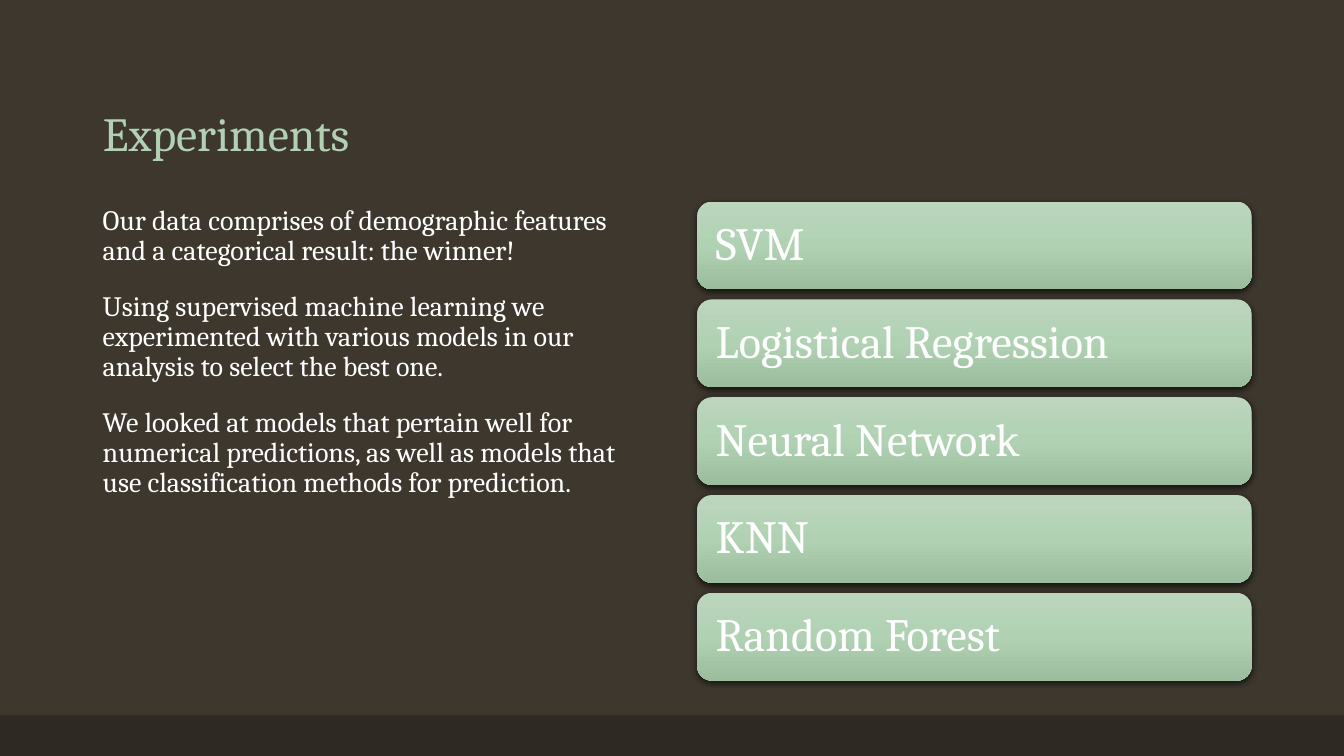
from lxml import etree
from pptx import Presentation
from pptx.dml.color import RGBColor
from pptx.enum.shapes import MSO_SHAPE
from pptx.enum.text import MSO_ANCHOR, MSO_AUTO_SIZE, PP_ALIGN
from pptx.oxml.ns import qn
from pptx.util import Cm, Pt

RECT, ROUND = MSO_SHAPE.RECTANGLE, MSO_SHAPE.ROUNDED_RECTANGLE
LEFT, NO_FIT = PP_ALIGN.LEFT, MSO_AUTO_SIZE.NONE
TOP, MIDDLE, BOTTOM = MSO_ANCHOR.TOP, MSO_ANCHOR.MIDDLE, MSO_ANCHOR.BOTTOM

WIDE, HIGH = 33.87, 19.05
FONT = "Cambria"
COLORS = {
    "back": "3D372E", "band": "2E2923", "title": "B2D0B4",
    "text": "FFFFFF", "shade": "000000",
    "light": "BCD6BE", "mid": "B0D2B3", "dark": "9BBC9D",
}
STOPS = {"light": 0, "mid": 50, "dark": 100}
SHADOW = {"blurRad": Pt(4.5), "dist": Pt(1.5), "dir": 90 * 60000,
          "algn": "ctr", "rotWithShape": 0}
NOTES = [
    "Our data comprises of demographic features and a categorical result: "
    "the winner!",
    "Using supervised machine learning we experimented with various models "
    "in our analysis to select the best one.",
    "We looked at models that pertain well for numerical predictions, as well "
    "as models that use classification methods for prediction.",
]
MODELS = ["SVM", "Logistical Regression", "Neural Network", "KNN",
          "Random Forest"]


def color(name):
    return RGBColor.from_string(COLORS[name])


def apply(item, values):
    for key, value in values.items():
        setattr(item, key, value)


def add_node(parent, tag, **values):
    attrs = {key: str(value) for key, value in values.items()}
    return etree.SubElement(parent, qn(tag), attrs)


def write(frame, lines, size, tint, anchor, gap=0):
    apply(frame, {"word_wrap": True, "auto_size": NO_FIT,
                  "vertical_anchor": anchor})
    for i, line in enumerate(lines):
        par = frame.add_paragraph() if i else frame.paragraphs[0]
        apply(par, {"text": line, "alignment": LEFT, "line_spacing": 0.9,
                    "space_before": Pt(gap if i else 0)})
        apply(par.font, {"name": FONT, "size": Pt(size)})
        par.font.color.rgb = color(tint)


def add_band(slide, x, y, w, h):
    band = slide.shapes.add_shape(RECT, Cm(x), Cm(y), Cm(w), Cm(h))
    band.shadow.inherit = False
    band.fill.solid()
    band.fill.fore_color.rgb = color("band")
    band.line.fill.background()


def add_title(slide, x, y, w, h):
    title = slide.shapes.title
    apply(title, {"left": Cm(x), "top": Cm(y), "width": Cm(w),
                  "height": Cm(h)})
    write(title.text_frame, ["Experiments"], 34, "title", BOTTOM)


def add_notes(slide, x, y, w, h):
    box = slide.shapes.add_textbox(Cm(x), Cm(y), Cm(w), Cm(h))
    write(box.text_frame, NOTES, 20, "text", TOP, 18)


def style_card(card):
    # Three-stop gradient, running downwards
    card.fill.gradient()
    card.fill.gradient_angle = 270
    props = card._element.spPr
    stops = props.find(".//" + qn("a:gsLst"))
    stops.clear()
    for name, place in STOPS.items():
        stop = add_node(stops, "a:gs", pos=place * 1000)
        add_node(stop, "a:srgbClr", val=COLORS[name])
    card.line.fill.background()
    # Soft shadow below
    card.shadow.inherit = False
    shade = add_node(props.find(qn("a:effectLst")), "a:outerShdw", **SHADOW)
    tint = add_node(shade, "a:srgbClr", val=COLORS["shade"])
    add_node(tint, "a:alpha", val=63000)


def add_cards(slide, x, y, w, h):
    tall = 2.21
    step = (h - tall) / (len(MODELS) - 1)
    for i, name in enumerate(MODELS):
        card = slide.shapes.add_shape(ROUND, Cm(x), Cm(y + i * step),
                                      Cm(w), Cm(tall))
        style_card(card)
        sides = ("left", "right", "top", "bottom")
        apply(card.text_frame, {f"margin_{s}": Cm(0.36) for s in sides})
        write(card.text_frame, [name], 33, "text", MIDDLE)


def main():
    deck = Presentation()
    apply(deck, {"slide_width": Cm(WIDE), "slide_height": Cm(HIGH)})
    slide = deck.slides.add_slide(deck.slide_layouts[5])
    slide.background.fill.solid()
    slide.background.fill.fore_color.rgb = color("back")
    add_band(slide, 0, 18.03, WIDE, HIGH - 18.03)
    add_title(slide, 2.34, 1.02, 31.75 - 0.2, 3.18)
    add_notes(slide, 2.34, 5.08, 13.97, 12.09)
    add_cards(slide, 17.57, 5.08, 13.97, 12.07)
    deck.save("out.pptx")


if __name__ == "__main__":
    main()
